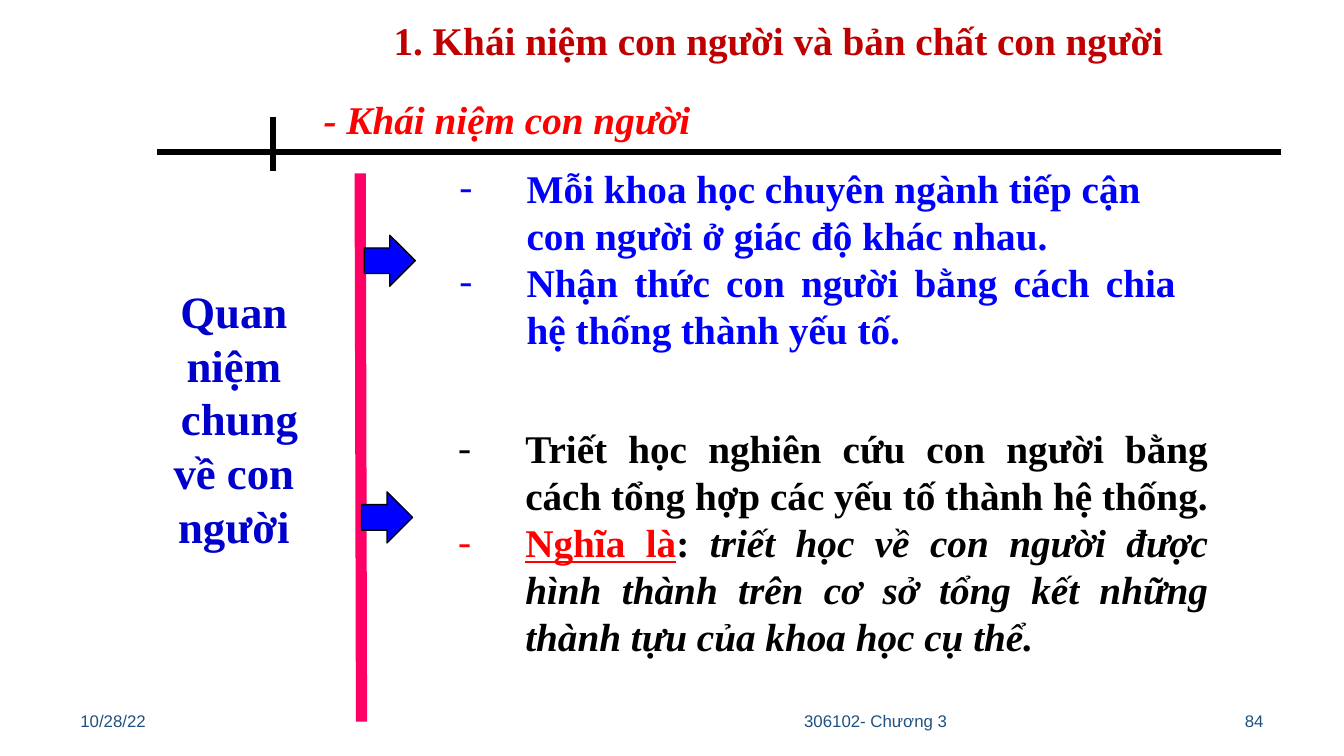
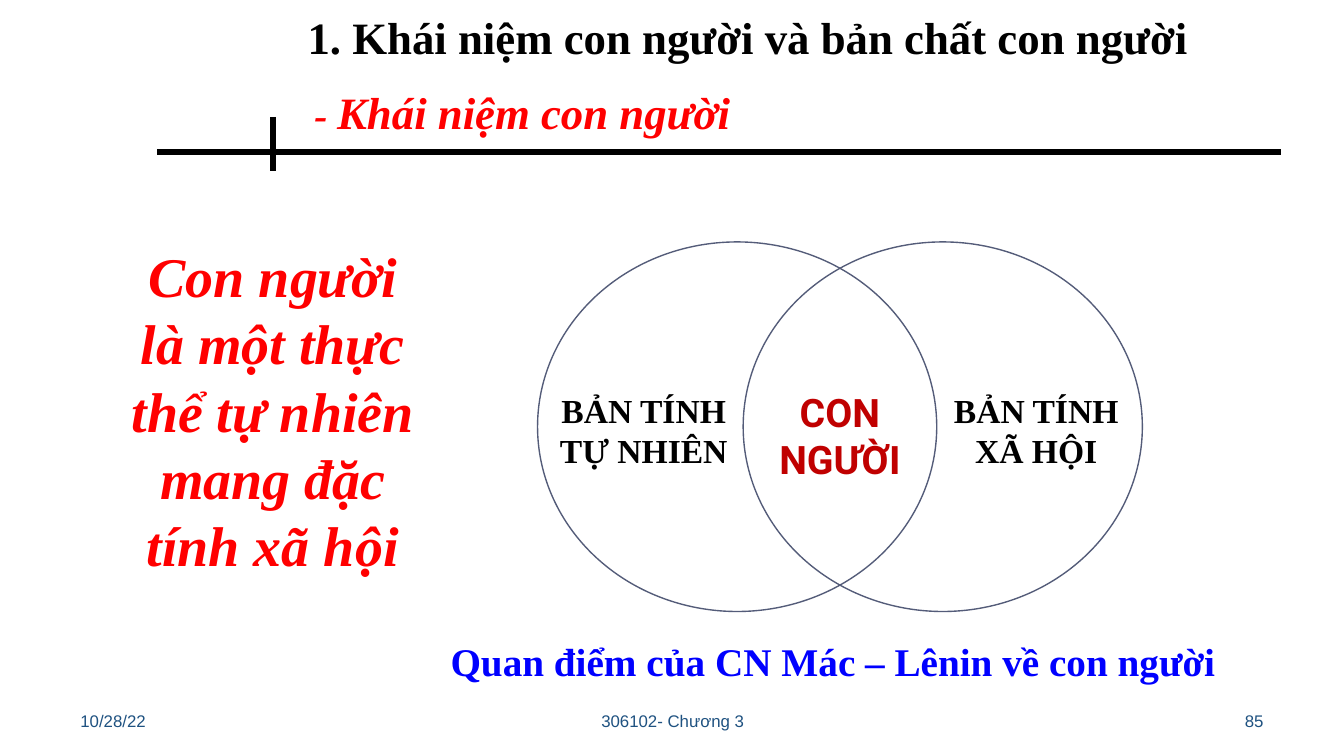
from lxml import etree
from pptx import Presentation
from pptx.dml.color import RGBColor
from pptx.enum.shapes import MSO_CONNECTOR as CONN, MSO_SHAPE as SHAPE
from pptx.enum.text import MSO_ANCHOR as ANCHOR, MSO_AUTO_SIZE as AUTO, PP_ALIGN as AL
from pptx.oxml.ns import qn
from pptx.util import Inches, Pt

BLACK, RED, DARK_RED = "000000", "FF0000", "C00000"
BLUE, NAVY, PINK = "0000FF", "0000CC", "FF0066"
FOOTER_COLOR, CIRCLE_LINE = "1F5281", "545C79"
SERIF = "Times New Roman"

TITLE = "1. Khái niệm con người và bản chất con người"
TOPIC = "Khái niệm con người"
DATE, COURSE = "10/28/22", "306102- Chương 3"

CONCEPT_LINES = ["Quan", "niệm", " chung", "về con", "người"]
SCIENCE_POINTS = [
    "Mỗi khoa học chuyên ngành tiếp cận con người ở giác độ khác nhau.",
    "Nhận thức con người bằng cách chia hệ thống thành yếu tố.",
]
PHILOSOPHY_POINTS = [
    "Triết học nghiên cứu con người bằng cách tổng hợp các yếu tố thành hệ thống.",
    [("Nghĩa là", dict(color=RED, underline=True)),
     (": ", {}),
     ("triết học về con người được hình thành trên cơ sở tổng kết những "
      "thành tựu của khoa học cụ thể.", dict(italic=True))],
]
ARROWS = [(2.71, 1.75), (2.69, 3.66)]

DEFINITION = "Con người là một thực thể tự nhiên mang đặc tính xã hội"
VIEWPOINT = "Quan điểm của CN Mác – Lênin về con người"
CIRCLE_LEFTS = [5.53, 4]
CIRCLE_TOP, CIRCLE_W, CIRCLE_H = 1.8, 2.97, 2.75
NATURES = [("BẢN TÍNH TỰ NHIÊN", 4.05), ("BẢN TÍNH XÃ HỘI", 6.97)]


def rgb(value):
    return RGBColor.from_string(value)


def box(*values):
    return [Inches(v) for v in values]


def add_run(p, text, size, font, color, bold, italic=False, underline=False):
    r = p.add_run()
    r.text = text
    f = r.font
    f.size, f.name, f.bold, f.italic = Pt(size), font, bold, italic
    f.underline = underline
    f.color.rgb = rgb(color)


def add_text(shapes, at, paragraphs, size=21, font=SERIF, color=BLACK, bold=True,
             italic=False, align=AL.LEFT, anchor=ANCHOR.TOP, hang=0, bullet=None,
             grow=True):
    sp = shapes.add_textbox(*box(*at))
    tf = sp.text_frame
    tf.word_wrap = True
    tf.auto_size = AUTO.SHAPE_TO_FIT_TEXT if grow else AUTO.NONE
    tf.vertical_anchor = anchor
    if isinstance(paragraphs, str):
        paragraphs = [paragraphs]
    aligns = align if isinstance(align, list) else [align] * len(paragraphs)
    base = dict(size=size, font=font, color=color, bold=bold, italic=italic)
    for i, (content, al) in enumerate(zip(paragraphs, aligns)):
        p = tf.paragraphs[0] if i == 0 else tf.add_paragraph()
        p.alignment = al
        if hang:
            pPr = p._p.get_or_add_pPr()
            pPr.set("marL", str(Inches(hang)))
            pPr.set("indent", str(-Inches(hang)))
            if bullet:
                etree.SubElement(pPr, qn("a:buFont")).set("typeface", font)
                etree.SubElement(pPr, qn("a:buChar")).set("char", bullet)
        runs = [(content, {})] if isinstance(content, str) else content
        for text, style in runs:
            add_run(p, text, **{**base, **style})


def add_line(shapes, start, end, color, width):
    line = shapes.add_connector(CONN.STRAIGHT, *box(*start, *end))
    line.line.color.rgb = rgb(color)
    line.line.width = Pt(width)
    etree.SubElement(line._element.spPr, qn("a:effectLst"))


def add_shape(shapes, kind, at, line, fill=None):
    sp = shapes.add_shape(kind, *box(*at))
    sp.shadow.inherit = False
    if fill:
        sp.fill.solid()
        sp.fill.fore_color.rgb = rgb(fill)
    else:
        sp.fill.background()
    sp.line.color.rgb = rgb(line)
    sp.line.width = Pt(0.75)


def add_base(prs, number, course_left):
    s = prs.slides.add_slide(prs.slide_layouts[6]).shapes
    add_line(s, (1.17, 1.13), (9.53, 1.13), BLACK, 3)
    add_line(s, (2.03, 0.87), (2.03, 1.27), BLACK, 3)
    for text, left, width, align in [
        (DATE, 0.5, 2.33, AL.LEFT),
        (COURSE, course_left, 3.17, AL.CENTER),
        (str(number), 7.17, 2.33, AL.RIGHT),
    ]:
        add_text(s, (left, 5.21, width, 0.3), text, size=9, font="Arial",
                 color=FOOTER_COLOR, bold=False, align=align,
                 anchor=ANCHOR.MIDDLE, grow=False)
    return s


def build_concept(prs):
    s = add_base(prs, 84, 4.93)
    add_text(s, (2.83, 0.07, 6.65, 0.45), TITLE, color=DARK_RED, align=AL.JUSTIFY)
    add_text(s, (2.31, 0.66, 6.37, 0.45), "- " + TOPIC, color=RED, italic=True,
             align=AL.JUSTIFY)
    add_text(s, (1.02, 2.06, 1.44, 2.12), CONCEPT_LINES, size=24, color=NAVY,
             align=AL.CENTER, hang=0.38)
    add_line(s, (2.68, 1.29), (2.69, 5.37), PINK, 6)
    for left, top in ARROWS:
        add_shape(s, SHAPE.RIGHT_ARROW, (left, top, 0.38, 0.38), BLACK, BLUE)
    add_text(s, (3.32, 1.17, 5.53, 1.51), SCIENCE_POINTS, color=BLUE,
             align=[AL.LEFT, AL.JUSTIFY], hang=0.5, bullet="-")
    add_text(s, (3.31, 3.11, 5.78, 1.87), PHILOSOPHY_POINTS, align=AL.JUSTIFY,
             hang=0.5, bullet="-")


def build_natures(prs):
    s = add_base(prs, 85, 3.42)
    add_text(s, (0.82, 1.75, 2.42, 2.63), DEFINITION, size=30, color=RED,
             italic=True, align=AL.CENTER)
    add_text(s, (3.17, 4.65, 6.99, 0.5),
             [[(" ", dict(size=24)), (VIEWPOINT, dict(color=BLUE))]])
    venn = s.add_group_shape().shapes
    for left in CIRCLE_LEFTS:
        add_shape(venn, SHAPE.OVAL, (left, CIRCLE_TOP, CIRCLE_W, CIRCLE_H), CIRCLE_LINE)
    add_text(venn, (5.63, 2.84, 1.24, 1.16), "CON NGƯỜI", font="Roboto",
             color=DARK_RED, align=AL.CENTER)
    for text, left in NATURES:
        add_text(venn, (left, 2.85, 1.48, 0.71), text, size=18, align=AL.CENTER)
    add_text(s, (2.19, 0.02, 7.64, 0.5), TITLE, size=24, align=AL.JUSTIFY)
    add_text(s, (2.24, 0.58, 6.37, 0.5), [[("- ", {}), (TOPIC, dict(size=24))]],
             color=RED, italic=True, align=AL.JUSTIFY)


def main():
    prs = Presentation()
    prs.slide_width = Inches(10)
    prs.slide_height = prs.slide_width * 9 // 16
    build_concept(prs)
    build_natures(prs)
    prs.save("out.pptx")


if __name__ == "__main__":
    main()
